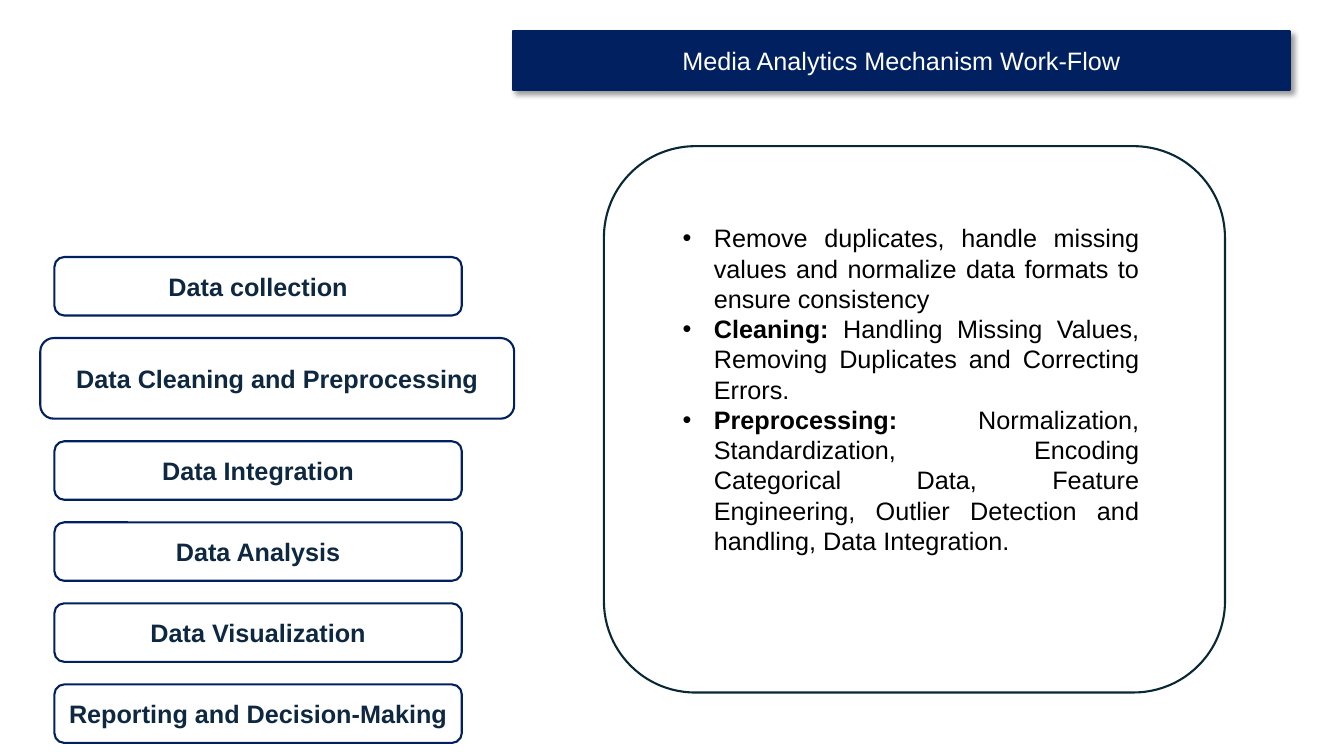
import pptx
import pptx.util
import pptx.dml.color
import pptx.enum.shapes
import pptx.enum.text
import pptx.oxml
import pptx.oxml.ns
from pptx.util import Inches

COLORS = {
    "navy": "002060",
    "step_text": "0E2841",
    "panel_line": "082836",
    "white": "FFFFFF",
    "black": "000000",
}
FONT = {"name": "Arial", "size": pptx.util.Pt(18)}
ALIGN = pptx.enum.text.PP_ALIGN
CORNER = 0.167

STEPS = [
    "Data collection",
    "Data Cleaning and Preprocessing",
    "Data Integration",
    "Data Analysis",
    "Data Visualization",
    "Reporting and Decision-Making",
]
CURRENT_STEP = "Data Cleaning and Preprocessing"
STEPS_TOP, LAST_STEP_TOP = 2.55, 6.79
STEP_BOX = (0.54, 4.04, 0.58)  # left, width, height
CURRENT_BOX = (0.4, 4.7, 0.8)

# Each bullet is a bold lead and its plain text
BULLETS = [
    ("", "Remove duplicates, handle missing values and normalize data formats "
         "to ensure consistency"),
    ("Cleaning:", " Handling Missing Values, Removing Duplicates and "
                  "Correcting Errors."),
    ("Preprocessing: ", "Normalization, Standardization, Encoding Categorical "
                        "Data, Feature Engineering, Outlier Detection and "
                        "handling, Data Integration."),
]


def rgb(color):
    return pptx.dml.color.RGBColor.from_string(COLORS[color])


def parse_drawing(xml):
    namespace = pptx.oxml.ns.nsdecls("a")
    return pptx.oxml.parse_xml(xml.replace(" NS", " " + namespace, 1))


def set_font(target, color, bold=False):
    for key, value in {**FONT, "bold": bold}.items():
        setattr(target.font, key, value)
    target.font.color.rgb = rgb(color)


def place(shape, left, top, width, height):
    box = {"left": left, "top": top, "width": width, "height": height}
    for key, value in box.items():
        setattr(shape, key, Inches(value))


def set_frame(text_frame, anchor, auto_size):
    frame_format = {
        "word_wrap": True,
        "auto_size": auto_size,
        "vertical_anchor": anchor,
        "margin_left": Inches(0.1),
        "margin_right": Inches(0.1),
        "margin_top": Inches(0.05),
        "margin_bottom": Inches(0.05),
    }
    for key, value in frame_format.items():
        setattr(text_frame, key, value)


def set_label(shape, text, color, bold):
    set_frame(shape.text_frame, pptx.enum.text.MSO_ANCHOR.MIDDLE,
              pptx.enum.text.MSO_AUTO_SIZE.NONE)
    paragraph = shape.text_frame.paragraphs[0]
    paragraph.alignment = ALIGN.CENTER
    run = paragraph.add_run()
    run.text = text
    set_font(run, color, bold)


def set_line(shape, color):
    shape.line.color.rgb = rgb(color)
    shape.line.width = pptx.util.Pt(1.5)


def format_title(title):
    place(title, 5.09, 0.31, 7.7, 0.58)
    properties = title.element.spPr
    properties.find(pptx.oxml.ns.qn("a:xfrm")).addnext(parse_drawing(
        '<a:prstGeom NS prst="roundRect"><a:avLst>'
        '<a:gd name="adj" fmla="val 16700"/></a:avLst></a:prstGeom>'))
    title.fill.solid()
    title.fill.fore_color.rgb = rgb("navy")
    set_line(title, "navy")
    properties.append(parse_drawing(
        '<a:effectLst NS><a:outerShdw blurRad="50800" dist="38100" '
        'dir="2700000" algn="tl" rotWithShape="0">'
        f'<a:srgbClr val="{COLORS["black"]}"><a:alpha val="40000"/></a:srgbClr>'
        '</a:outerShdw></a:effectLst>'))
    set_label(title, "Media Analytics Mechanism Work-Flow", "white", False)


def add_outline_box(slide, left, top, width, height, color):
    shape = slide.shapes.add_shape(
        pptx.enum.shapes.MSO_SHAPE.ROUNDED_RECTANGLE,
        Inches(left), Inches(top), Inches(width), Inches(height))
    shape.adjustments[0] = CORNER
    shape.shadow.inherit = False
    shape.fill.background()
    set_line(shape, color)
    return shape


def add_steps(slide):
    boxes = [CURRENT_BOX if step == CURRENT_STEP else STEP_BOX for step in STEPS]
    heights = [height for _, _, height in boxes]
    gap = (LAST_STEP_TOP - STEPS_TOP - sum(heights[:-1])) / (len(STEPS) - 1)
    top = STEPS_TOP
    for step, (left, width, height) in zip(STEPS, boxes):
        shape = add_outline_box(slide, left, top, width, height, "navy")
        set_label(shape, step, "step_text", True)
        top += height + gap


def add_bullet(paragraph):
    properties = paragraph._p.get_or_add_pPr()
    indent = Inches(0.31)
    properties.set("marL", str(indent))
    properties.set("indent", str(-indent))
    for xml in (
        f'<a:buClr NS><a:srgbClr val="{COLORS["black"]}"/></a:buClr>',
        '<a:buFont NS typeface="Arial"/>',
        '<a:buChar NS char="•"/>',
    ):
        properties.append(parse_drawing(xml))


def fill_body(body):
    place(body, 6.67, 2.16, 4.73, 3.43)
    text_frame = body.text_frame
    set_frame(text_frame, pptx.enum.text.MSO_ANCHOR.TOP,
              pptx.enum.text.MSO_AUTO_SIZE.SHAPE_TO_FIT_TEXT)
    for index, (lead, text) in enumerate(BULLETS):
        paragraph = text_frame.add_paragraph() if index else text_frame.paragraphs[0]
        add_bullet(paragraph)
        paragraph.alignment = ALIGN.JUSTIFY
        paragraph.space_before = pptx.util.Pt(0)
        for part, bold in ((lead, True), (text, False)):
            if part:
                run = paragraph.add_run()
                run.text = part
                set_font(run, "black", bold)


def main():
    presentation = pptx.Presentation()
    presentation.slide_width = Inches(13.33)
    presentation.slide_height = Inches(7.5)
    slide = presentation.slides.add_slide(presentation.slide_layouts[1])

    # Title bar
    format_title(slide.shapes.title)

    # Workflow steps on the left
    add_steps(slide)

    # Panel with the details of the current step
    add_outline_box(slide, 5.99, 1.45, 6.16, 5.42, "panel_line")
    fill_body(slide.placeholders[1])

    presentation.save("out.pptx")


if __name__ == "__main__":
    main()
